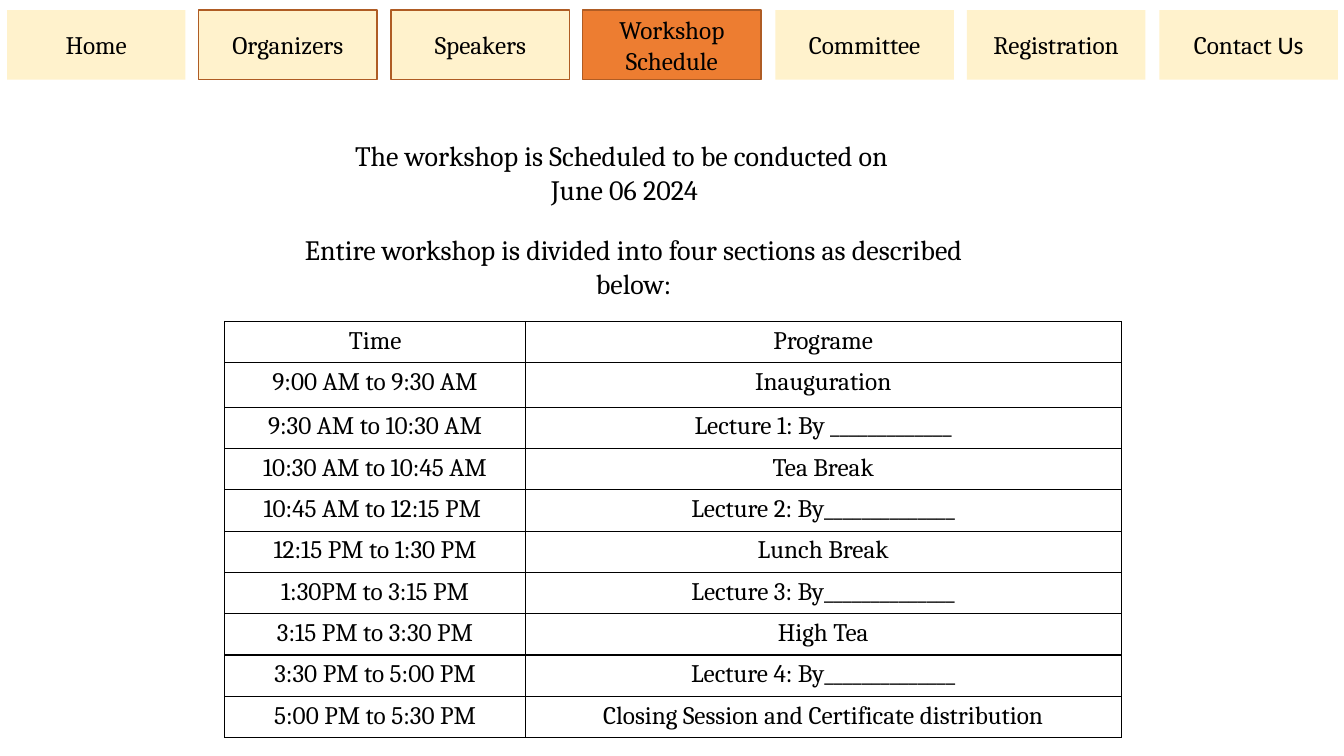
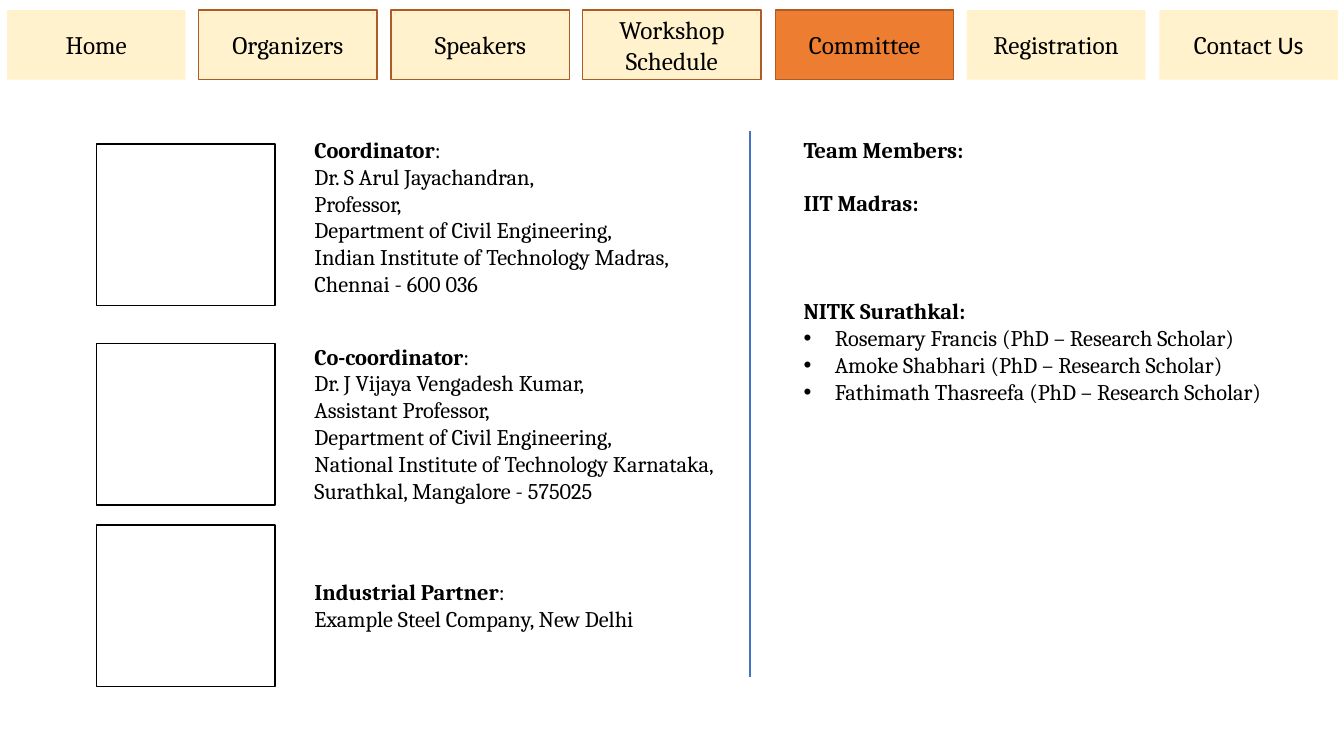
import lxml.etree
import pptx
import pptx.dml.color
import pptx.enum.shapes
import pptx.enum.text
import pptx.oxml.ns
import pptx.util

# Shared scale, colours and text formats
PX = 9144  # 100 px to the inch
BLACK, CREAM, ORANGE, RUST, BLUE = "000000", "FFF2CC", "ED7D31", "AF5C24", "4472C4"
CENTER = pptx.enum.text.PP_ALIGN.CENTER
LEFT = pptx.enum.text.PP_ALIGN.LEFT
TOP = pptx.enum.text.MSO_ANCHOR.TOP
MIDDLE = pptx.enum.text.MSO_ANCHOR.MIDDLE
RECT = pptx.enum.shapes.MSO_SHAPE.RECTANGLE

NAV_TEXT = {"name": "Cambria", "size": pptx.util.Pt(18), "bold": False}
INTRO_TEXT = {**NAV_TEXT, "size": pptx.util.Pt(20)}
DETAIL_TEXT = {**NAV_TEXT, "size": pptx.util.Pt(16)}
HEADING_TEXT = {**DETAIL_TEXT, "bold": True}

# Content
NAV_LABELS = ["Home", "Organizers", "Speakers", "Workshop Schedule",
              "Committee", "Registration", "Contact"]
OUTLINED_TABS = {"Organizers", "Speakers", "Workshop Schedule"}

SCHEDULE = [
    ("Time", "Programe"),
    ("9:00 AM to 9:30 AM", "Inauguration"),
    ("9:30 AM to 10:30 AM", "Lecture 1: By _____________"),
    ("10:30 AM to 10:45 AM", "Tea Break"),
    ("10:45 AM to 12:15 PM ", "Lecture 2: By______________"),
    ("12:15 PM to 1:30 PM", "Lunch Break"),
    ("1:30PM to 3:15 PM", "Lecture 3: By______________"),
    ("3:15 PM to 3:30 PM", "High Tea"),
    ("3:30 PM to 5:00 PM", "Lecture 4: By______________"),
    ("5:00 PM to 5:30 PM", "Closing Session and Certificate distribution"),
]

# Frame top, text top, text height, role, details
CONTACTS = [
    (143, 130, 172, "Coordinator",
     ["Dr. S Arul Jayachandran,", "Professor,",
      "Department of Civil Engineering,",
      "Indian Institute of Technology Madras,", "Chennai - 600 036"]),
    (341, 335, 172, "Co-coordinator",
     ["Dr. J Vijaya Vengadesh Kumar,", "Assistant Professor,",
      "Department of Civil Engineering,",
      "National Institute of Technology Karnataka,",
      "Surathkal, Mangalore - 575025"]),
    (521, 569, 64, "Industrial Partner", ["Example Steel Company, New Delhi"]),
]

SCHOLARS = ["Rosemary Francis", "Amoke Shabhari", "Fathimath Thasreefa"]


def px(*lengths):
    return [pptx.util.Emu(n * PX) for n in lengths]


def rgb(value):
    return pptx.dml.color.RGBColor.from_string(value)


def add_xml(parent, tag, **attrs):
    return lxml.etree.SubElement(parent, pptx.oxml.ns.qn(tag), attrs)


def add_run(p, text, style):
    r = p.add_run()
    r.text = text
    for name, value in style.items():
        setattr(r.font, name, value)
    r.font.color.rgb = rgb(BLACK)


def write(tf, paragraphs, align=LEFT, anchor=TOP):
    """Fill a frame; each paragraph is a list of (text, style) runs."""
    tf.word_wrap = True
    tf.auto_size = pptx.enum.text.MSO_AUTO_SIZE.NONE
    tf.vertical_anchor = anchor
    for i, runs in enumerate(paragraphs):
        p = tf.add_paragraph() if i else tf.paragraphs[0]
        p.alignment = align
        p.space_before = pptx.util.Pt(0)
        for text, style in runs:
            add_run(p, text, style)


def place(sp, box):
    sp.left, sp.top, sp.width, sp.height = px(*box)
    return sp


def add_text(s, box, paragraphs, **layout):
    write(s.shapes.add_textbox(*px(*box)).text_frame, paragraphs, **layout)


def add_box(s, box, fill=None, line=None):
    sp = s.shapes.add_shape(RECT, *px(*box))
    sp.shadow.inherit = False
    if fill:
        sp.fill.solid()
        sp.fill.fore_color.rgb = rgb(fill)
    else:
        sp.fill.background()
    if line:
        sp.line.color.rgb = rgb(line)
        sp.line.width = pptx.util.Pt(1)
    else:
        sp.line.fill.background()
    return sp


def add_nav(s, active):
    for i, label in enumerate(NAV_LABELS):
        outlined = label == active or label in OUTLINED_TABS
        tab = add_box(s, (7 + 381 * i // 2, 10, 177, 69),
                      ORANGE if label == active else CREAM,
                      RUST if outlined else None)
        runs = [(label, NAV_TEXT)]
        if label == "Contact":
            runs.append((" Us", {**NAV_TEXT, "name": "Calibri"}))
        write(tab.text_frame, [runs], CENTER, MIDDLE)


def add_divider(s, x, top, bottom):
    line = s.shapes.add_connector(pptx.enum.shapes.MSO_CONNECTOR.STRAIGHT,
                                  *px(x, top, x, bottom))
    line.line.color.rgb = rgb(BLUE)
    line.line.width = pptx.util.Pt(1.5)
    add_xml(line._element.spPr, "a:effectLst")


def set_borders(cell):
    tcPr = cell._tc.get_or_add_tcPr()
    for side in ("a:lnL", "a:lnR", "a:lnT", "a:lnB"):
        ln = add_xml(tcPr, side, w="12700")
        add_xml(add_xml(ln, "a:solidFill"), "a:srgbClr", val=BLACK)


def add_schedule(s, box, col_widths, row_heights):
    frame = s.shapes.add_table(len(SCHEDULE), len(col_widths), *px(*box))
    table = frame.table
    table.first_row = table.horz_banding = False
    for col, width in zip(table.columns, px(*col_widths)):
        col.width = width
    for row, height, texts in zip(table.rows, px(*row_heights), SCHEDULE):
        row.height = height
        for cell, text in zip(row.cells, texts):
            set_borders(cell)
            cell.fill.background()
            p = cell.text_frame.paragraphs[0]
            p.alignment = CENTER
            add_run(p, text, NAV_TEXT)


def set_bullet(p, char=None, indent=0):
    pPr = p._p.get_or_add_pPr()
    pPr.set("marL", str(indent * PX))
    pPr.set("indent", str(-indent * PX))
    if char:
        add_xml(pPr, "a:buFont", typeface="Arial")
        add_xml(pPr, "a:buChar", char=char)
    else:
        add_xml(pPr, "a:buNone")


def build_schedule(prs):
    s = prs.slides.add_slide(prs.slide_layouts[5])
    add_nav(s, "Workshop Schedule")
    title = place(s.shapes.title, (268, 133, 703, 76))
    write(title.text_frame,
          [[("The workshop is Scheduled to be conducted on ", INTRO_TEXT)],
           [("June 06 2024", INTRO_TEXT)]], CENTER, MIDDLE)
    add_text(s, (277, 226, 703, 76),
             [[("Entire workshop is divided into four sections as described below:",
                INTRO_TEXT)]], align=CENTER, anchor=MIDDLE)
    heights = [44 if i == 1 else 41 for i in range(len(SCHEDULE))]
    add_schedule(s, (223, 319, 889, sum(heights)), (298, 591), heights)


def build_committee(prs):
    s = prs.slides.add_slide(prs.slide_layouts[1])
    add_nav(s, "Committee")

    # Contacts with their frames
    for frame_top, top, height, role, details in CONTACTS:
        add_box(s, (96, frame_top, 177, 160), line=BLACK)
        add_text(s, (302, top, 442, height),
                 [[(role, HEADING_TEXT), (":", DETAIL_TEXT)]]
                 + [[(text, DETAIL_TEXT)] for text in details])
    add_divider(s, 744, 130, 672)

    # Team list
    title = place(s.shapes.title, (787, 130, 515, 37))
    write(title.text_frame, [[("Team Members:", HEADING_TEXT)]])
    team = place(s.placeholders[1], (787, 183, 515, 253)).text_frame
    write(team, [[("IIT Madras:", HEADING_TEXT)], [("NITK Surathkal:", HEADING_TEXT)]]
          + [[(f"{name} (PhD – Research Scholar)", DETAIL_TEXT)] for name in SCHOLARS])
    team.paragraphs[1].space_before = pptx.util.Pt(58)
    for i, p in enumerate(team.paragraphs):
        if i < 2:
            set_bullet(p)
        else:
            set_bullet(p, "•", 31)


def main():
    prs = pptx.Presentation()
    prs.slide_width, prs.slide_height = px(1333, 750)
    build_schedule(prs)
    build_committee(prs)
    prs.save("out.pptx")


if __name__ == "__main__":
    main()
